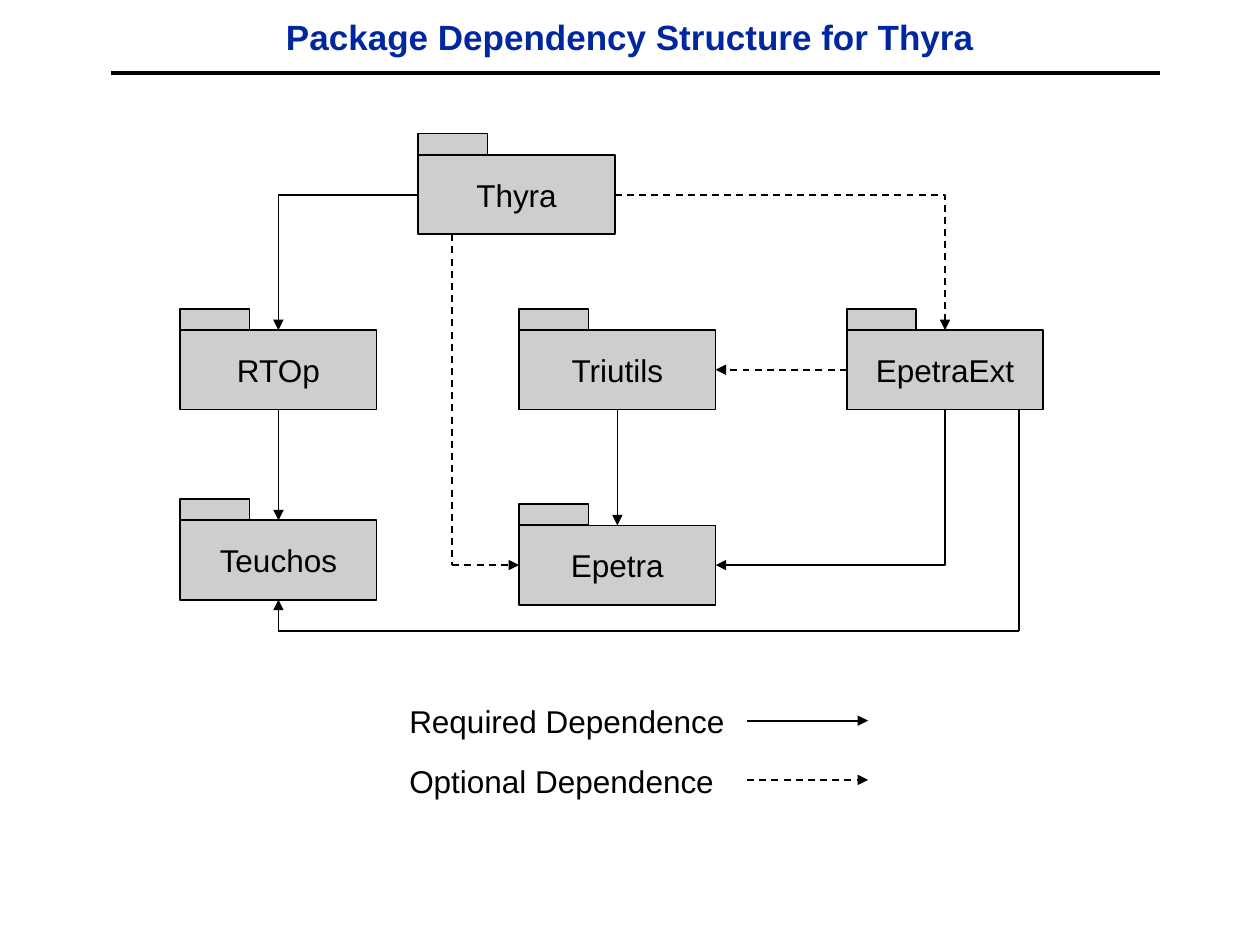
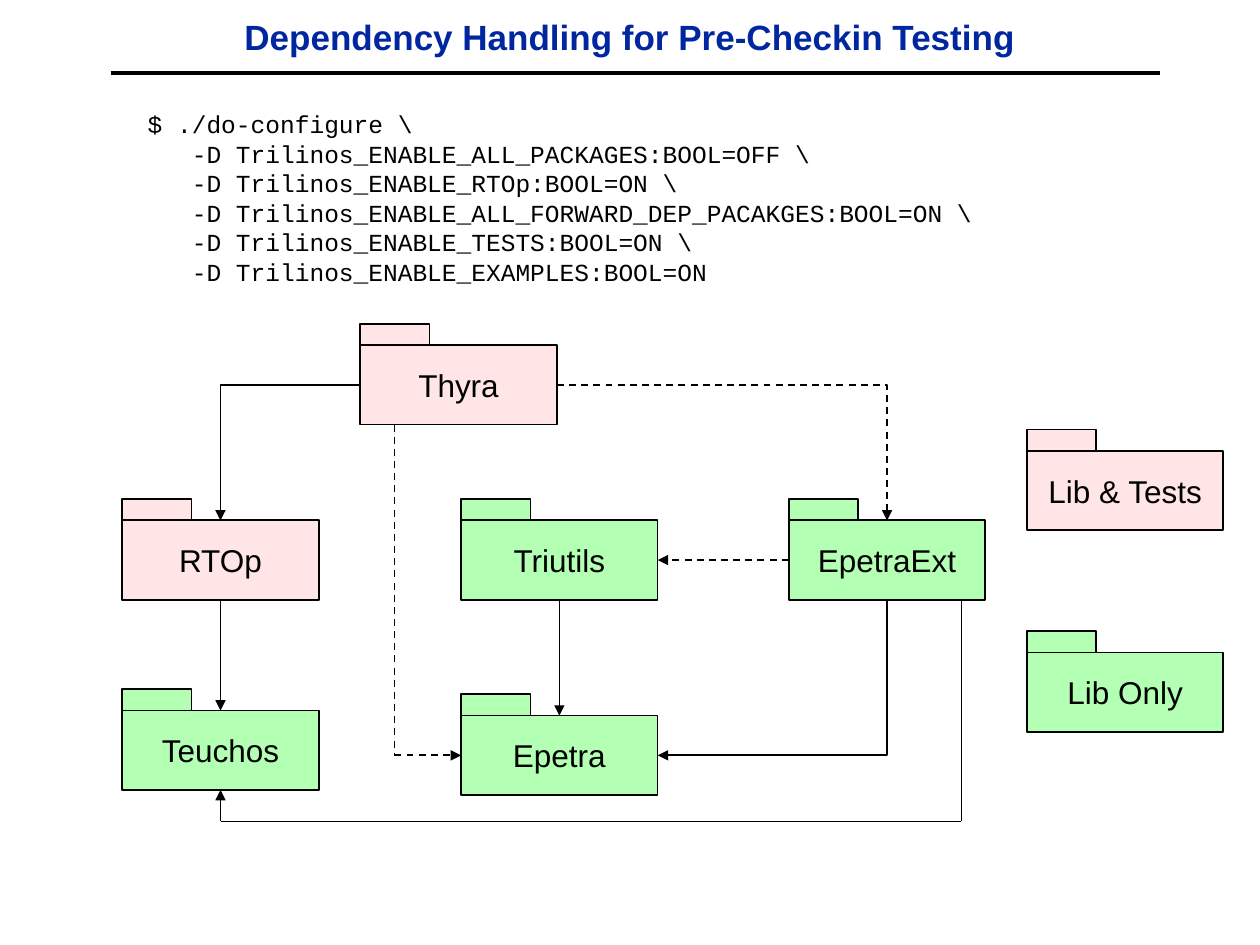
import itertools

import lxml.etree
import pptx
import pptx.dml.color
import pptx.enum.dml
import pptx.enum.shapes
import pptx.enum.text
import pptx.oxml.ns
import pptx.util

Inches = pptx.util.Inches
TOP, LEFT, BOTTOM, RIGHT = range(4)
BLACK, NAVY, GREY, PINK, GREEN = "000000", "00279F", "CECECE", "FFE5E5", "B3FFB3"
FOLDER_WIDTH, FOLDER_HEIGHT, TAB_WIDTH, TAB_HEIGHT = 1.56, 0.63, 0.55, 0.17
PACKAGES = {
    "RTOp": (1.43, 2.62),
    "Teuchos": (1.43, 4.13),
    "Epetra": (4.12, 4.17),
    "Triutils": (4.12, 2.62),
    "Thyra": (3.32, 1.23),
    "EpetraExt": (6.72, 2.62),
}
CONFIGURE_COMMAND = r"""  $ ./do-configure \
     -D Trilinos_ENABLE_ALL_PACKAGES:BOOL=OFF \
     -D Trilinos_ENABLE_RTOp:BOOL=ON \
     -D Trilinos_ENABLE_ALL_FORWARD_DEP_PACAKGES:BOOL=ON \
     -D Trilinos_ENABLE_TESTS:BOOL=ON \
     -D Trilinos_ENABLE_EXAMPLES:BOOL=ON"""


def color(value):
    """Turn a hex string into a colour."""
    return pptx.dml.color.RGBColor.from_string(value)


def write(shape, text, size=18, font="Arial", ink=BLACK, bold=False,
          align="LEFT", anchor="TOP", wrap=False):
    """Write the lines of a text into a shape, one paragraph each."""
    frame = shape.text_frame
    frame.word_wrap = wrap
    frame.vertical_anchor = getattr(pptx.enum.text.MSO_ANCHOR, anchor)
    frame.text = text
    for paragraph in frame.paragraphs:
        paragraph.alignment = getattr(pptx.enum.text.PP_ALIGN, align)
        paragraph.font.size = pptx.util.Pt(size)
        paragraph.font.name = font
        paragraph.font.bold = bold
        paragraph.font.color.rgb = color(ink)


def side_point(shape, side):
    """Give the middle of one side of a shape."""
    middle_x = shape.left + shape.width // 2
    middle_y = shape.top + shape.height // 2
    return {
        TOP: (middle_x, shape.top),
        LEFT: (shape.left, middle_y),
        BOTTOM: (middle_x, shape.top + shape.height),
        RIGHT: (shape.left + shape.width, middle_y),
    }[side]


class Deck:
    """Hold the shared style and the slide being drawn."""

    def __init__(self):
        """Start an empty presentation of 10 by 7.5 inches."""
        self.presentation = pptx.Presentation()
        self.presentation.slide_width = Inches(10)
        self.presentation.slide_height = Inches(7.5)
        self.slide = None

    def add_slide(self, title):
        """Add a slide with its title and the rule below it."""
        layout = self.presentation.slide_layouts[6]
        self.slide = self.presentation.slides.add_slide(layout)
        self.line((Inches(0.88), Inches(0.58)), (Inches(9.21), Inches(0.58)), width=2)
        self.text(title, 0.75, 0.08, 8.5, 0.42, size=20, ink=NAVY, bold=True,
                  align="CENTER", anchor="MIDDLE", wrap=True)

    def text(self, text, left, top, width, height, **style):
        """Add a text box."""
        box = self.slide.shapes.add_textbox(
            Inches(left), Inches(top), Inches(width), Inches(height))
        write(box, text, **style)

    def line(self, begin, end, width=1, dashed=False, arrow=None, kind="STRAIGHT"):
        """Add a connector, with an arrowhead at its headEnd or tailEnd."""
        connector = self.slide.shapes.add_connector(
            getattr(pptx.enum.shapes.MSO_CONNECTOR, kind), *begin, *end)
        connector.line.color.rgb = color(BLACK)
        connector.line.width = pptx.util.Pt(width)
        if dashed:
            connector.line.dash_style = pptx.enum.dml.MSO_LINE.DASH
        qn = pptx.oxml.ns.qn
        if arrow:
            outline = connector.line._get_or_add_ln()
            lxml.etree.SubElement(outline, qn(f"a:{arrow}"), type="triangle")
        lxml.etree.SubElement(connector._element.spPr, qn("a:effectLst"))
        return connector

    def bend(self, level, upright, arrow="tailEnd", dashed=False):
        """Join a left or right side to a top or bottom side with one corner."""
        connector = self.line(side_point(*level), side_point(*upright),
                              dashed=dashed, arrow=arrow, kind="ELBOW")
        geometry = connector._element.spPr.find(pptx.oxml.ns.qn("a:prstGeom"))
        geometry.set("prst", "bentConnector2")
        connector.begin_connect(*level)
        connector.end_connect(*upright)

    def route(self, begin, end, corners=(), dashed=False):
        """Lead an arrow through corners, joining ends given as (shape, side)."""
        points = [begin, *corners, end]
        for index, joint in ((0, begin), (-1, end)):
            if not isinstance(joint[0], int):
                points[index] = side_point(*joint)
        legs = list(itertools.pairwise(points))
        connectors = [
            self.line(*leg, dashed=dashed, arrow="tailEnd" if number == len(legs) else None)
            for number, leg in enumerate(legs, 1)
        ]
        if not isinstance(begin[0], int):
            connectors[0].begin_connect(*begin)
        if not isinstance(end[0], int):
            connectors[-1].end_connect(*end)

    def folder(self, name, left, top, fill):
        """Add a package folder and return its body."""
        group = self.slide.shapes.add_group_shape()
        body, tab = (
            group.shapes.add_shape(
                pptx.enum.shapes.MSO_SHAPE.RECTANGLE, *map(Inches, place))
            for place in (
                (left, top, FOLDER_WIDTH, FOLDER_HEIGHT),
                (left, top - TAB_HEIGHT, TAB_WIDTH, TAB_HEIGHT),
            )
        )
        for shape in (body, tab):
            shape.shadow.inherit = False
            shape.fill.solid()
            shape.fill.fore_color.rgb = color(fill)
            shape.line.color.rgb = color(BLACK)
            shape.line.width = pptx.util.Pt(1)
        write(body, name, align="CENTER", anchor="MIDDLE")
        return body

    def dependency_diagram(self, fills, shift_x=0, shift_y=0):
        """Draw the packages and the dependencies between them."""
        folders = {
            name: self.folder(name, left + shift_x, top + shift_y, fills.get(name, fills["other"]))
            for name, (left, top) in PACKAGES.items()
        }
        rtop, teuchos, epetra, triutils, thyra, epetra_ext = folders.values()

        thyra_exit = (thyra.left + Inches(0.27), thyra.top + thyra.height)
        ext_exit = (epetra_ext.left + Inches(1.37), epetra_ext.top + epetra_ext.height)
        epetra_y = side_point(epetra, LEFT)[1]
        teuchos_x, teuchos_bottom = side_point(teuchos, BOTTOM)
        loop_y = teuchos_bottom + Inches(0.25)

        self.bend((thyra, LEFT), (rtop, TOP))
        self.bend((thyra, RIGHT), (epetra_ext, TOP), dashed=True)
        self.bend((epetra, RIGHT), (epetra_ext, BOTTOM), arrow="headEnd")
        self.route((rtop, BOTTOM), (teuchos, TOP))
        self.route((triutils, BOTTOM), (epetra, TOP))
        self.route((epetra_ext, LEFT), (triutils, RIGHT), dashed=True)
        self.route(thyra_exit, (epetra, LEFT), [(thyra_exit[0], epetra_y)], dashed=True)
        self.route(ext_exit, (teuchos, BOTTOM), [(ext_exit[0], loop_y), (teuchos_x, loop_y)])


def main():
    """Build both slides and save them."""
    deck = Deck()

    deck.add_slide("Package Dependency Structure for Thyra")
    deck.dependency_diagram({"other": GREY})
    for label, top, arrow_y, dashed in (
        ("Required Dependence", 5.52, 5.72, False),
        ("Optional Dependence", 6, 6.19, True),
    ):
        deck.text(label, 3.15, top, 2.7, 0.4)
        deck.route((Inches(5.93), Inches(arrow_y)), (Inches(6.89), Inches(arrow_y)), dashed=dashed)

    deck.add_slide("Dependency Handling for Pre-Checkin Testing")
    deck.text(CONFIGURE_COMMAND, 0.84, 0.82, 7.81, 1.74, size=14, font="Courier New", wrap=True)
    deck.dependency_diagram({"Thyra": PINK, "RTOp": PINK, "other": GREEN}, -0.46, 1.51)
    deck.folder("Lib Only", 8.15, 5.18, GREEN)
    deck.folder("Lib & Tests", 8.15, 3.58, PINK)

    deck.presentation.save("out.pptx")


if __name__ == "__main__":
    main()
